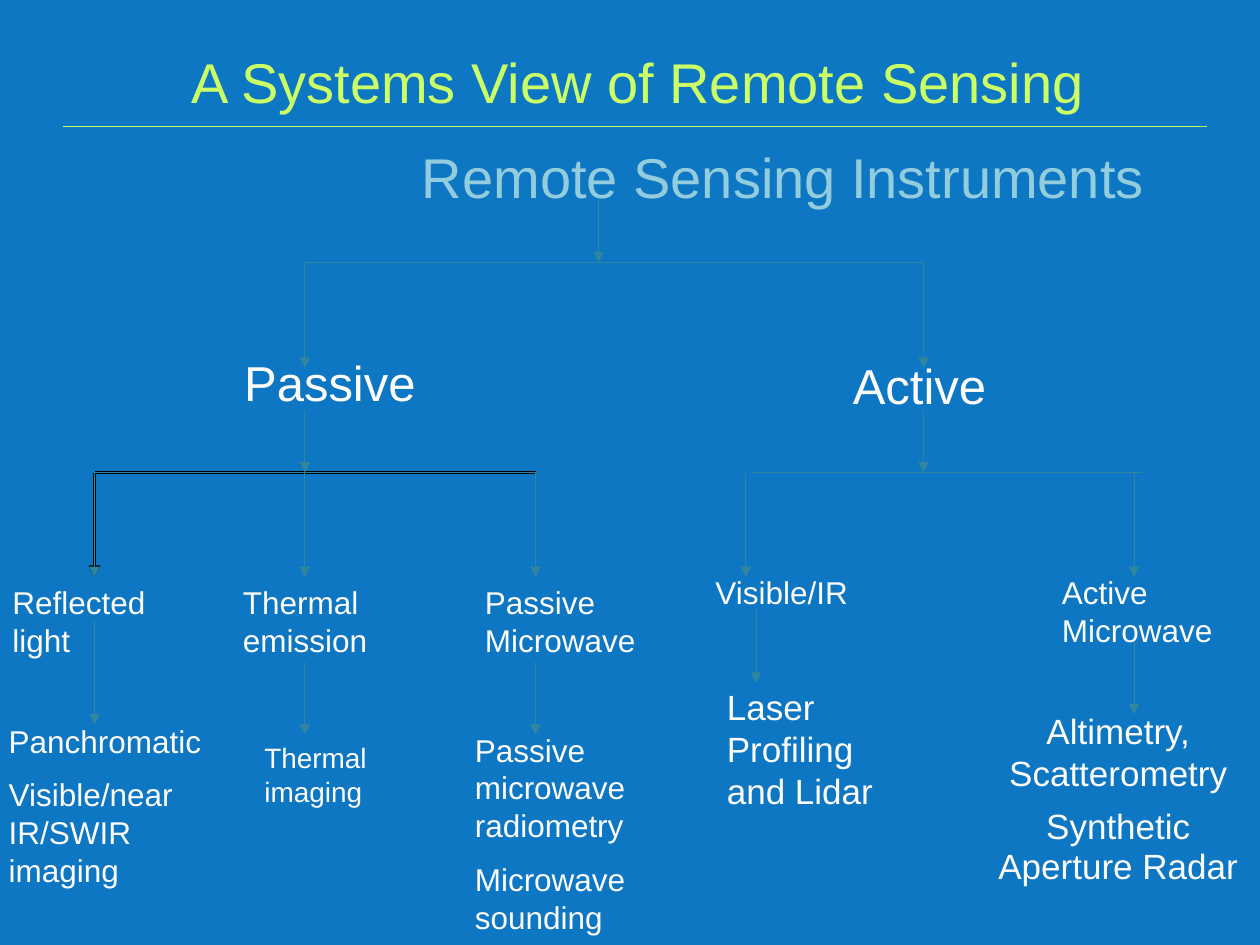
import lxml.etree
import pptx
import pptx.dml.color
import pptx.enum.shapes
import pptx.enum.text
import pptx.oxml.ns
import pptx.util
from pptx.util import Inches

COLORS = {
    "background": "0D77C3",
    "title": "CCFF66",
    "subtitle": "93CDDD",
    "text": "FCFBF9",
    "arrow": "31859C",
    "trunk": "000000",
}


def color(name):
    """Return the named colour."""
    return pptx.dml.color.RGBColor.from_string(COLORS[name])


def add_text(page, origin, box, lines, size, tint="text", centered=False, wrap=True):
    """Place paragraphs in a text box relative to the origin and return them."""
    left, top, width, height = box
    label = page.shapes.add_textbox(
        Inches(origin[0] + left), Inches(origin[1] + top), Inches(width), Inches(height)
    )
    frame = label.text_frame
    frame.word_wrap = wrap
    frame.text = "\n".join(lines)
    for index, para in enumerate(frame.paragraphs):
        para.font.name = "Arial"
        para.font.size = pptx.util.Pt(size)
        para.font.color.rgb = color(tint)
        if centered:
            para.alignment = pptx.enum.text.PP_ALIGN.CENTER
        if index:
            para.space_before = pptx.util.Pt(size / 2)
    return frame.paragraphs


def add_line(page, origin, start, end, tint="arrow", weight=0.5, arrow=False):
    """Draw a straight line relative to the origin, with an optional arrowhead."""
    ends = [Inches(origin[i % 2] + value) for i, value in enumerate((*start, *end))]
    line = page.shapes.add_connector(pptx.enum.shapes.MSO_CONNECTOR.STRAIGHT, *ends)
    line.line.color.rgb = color(tint)
    line.line.width = pptx.util.Pt(weight)
    qn = pptx.oxml.ns.qn
    if arrow:
        lxml.etree.SubElement(line.line._get_or_add_ln(), qn("a:tailEnd"), type="triangle")
    lxml.etree.SubElement(line._element.spPr, qn("a:effectLst"))


def add_arrows(page, origin, arrows):
    """Draw vertical arrows given as x, top and bottom."""
    for x, top, bottom in arrows:
        add_line(page, origin, (x, top), (x, bottom), arrow=True)


def add_header(page, origin):
    """Place the title and the rule under it."""
    add_text(page, origin, (0, 0, 9.25, 0.64), ["A Systems View of Remote Sensing"],
             32, "title", centered=True)
    add_line(page, origin, (0.06, 0.67), (9.14, 0.67), "title", 0.25)


def add_root(page, origin):
    """Place the root of the tree and its split into two branches."""
    add_text(page, origin, (0.83, 0, 6.1, 0.64), ["Remote Sensing Instruments"],
             32, "subtitle", wrap=False)
    add_line(page, origin, (0, 1), (4.91, 1))
    add_arrows(page, origin, [(2.33, 0.5, 1), (0, 1, 1.84), (4.91, 1, 1.84)])


def add_passive(page, origin):
    """Place the passive branch with its three instrument types."""
    add_text(page, origin, (1.84, 0, 1.66, 0.57), ["Passive"], 28)
    for tint, weight in (("trunk", 2.25), ("arrow", 0.5)):
        add_line(page, origin, (0.75, 1), (4.25, 1), tint, weight)
        add_line(page, origin, (0.75, 1), (0.75, 1.83), tint, weight, arrow=True)
    add_arrows(page, origin, [
        (2.42, 0.5, 1), (2.42, 1, 1.83), (4.25, 1, 1.83),
        (0.75, 2.17, 3), (2.42, 2.5, 3.08), (4.25, 2.5, 3.08),
    ])
    kinds = ["Reflected light", "Thermal emission", "Passive Microwave"]
    for left, kind in zip((0, 1.83, 3.75), kinds):
        add_text(page, origin, (left, 1.83, 1.75, 0.7), [kind], 18)
    add_text(page, origin, (-0.03, 2.93, 1.75, 1.47),
             ["Panchromatic", "Visible/near IR/SWIR imaging"], 18)
    add_text(page, origin, (2, 3.08, 1.17, 0.65), ["Thermal imaging"], 16)
    add_text(page, origin, (3.67, 3, 1.75, 1.76),
             ["Passive microwave radiometry", "Microwave sounding"], 18)


def add_active(page, origin):
    """Place the active branch with its two instrument types."""
    add_text(page, origin, (1.09, 0.02, 1.92, 0.57), ["Active"], 28)
    add_line(page, origin, (0.4, 1), (3.48, 1))
    add_arrows(page, origin, [
        (1.75, 0.5, 1), (0.34, 1, 1.83), (3.42, 1, 1.83),
        (0.42, 2.08, 2.67), (3.42, 2.33, 2.92),
    ])
    add_text(page, origin, (0, 1.75, 1.33, 0.4), ["Visible/IR"], 18)
    add_text(page, origin, (2.75, 1.75, 1.75, 0.7), ["Active Microwave"], 18)
    add_text(page, origin, (0.09, 2.64, 1.42, 1.11), ["Laser Profiling and Lidar"], 20)
    radar = add_text(page, origin, (2.17, 2.83, 2.25, 1.55),
                     ["Altimetry, Scatterometry", "Synthetic Aperture Radar"],
                     20, centered=True)[1]
    radar.line_spacing = 0.95
    radar.space_before = pptx.util.Pt(8)


def main():
    """Build the slide and save it."""
    deck = pptx.Presentation()
    deck.slide_width, deck.slide_height = Inches(10), Inches(7.5)
    page = deck.slides.add_slide(deck.slide_layouts[6])
    page.background.fill.solid()
    page.background.fill.fore_color.rgb = color("background")
    add_header(page, (0.44, 0.33))
    add_root(page, (2.42, 1.08))
    add_passive(page, (0, 2.75))
    add_active(page, (5.58, 2.75))
    deck.save("out.pptx")


if __name__ == "__main__":
    main()
